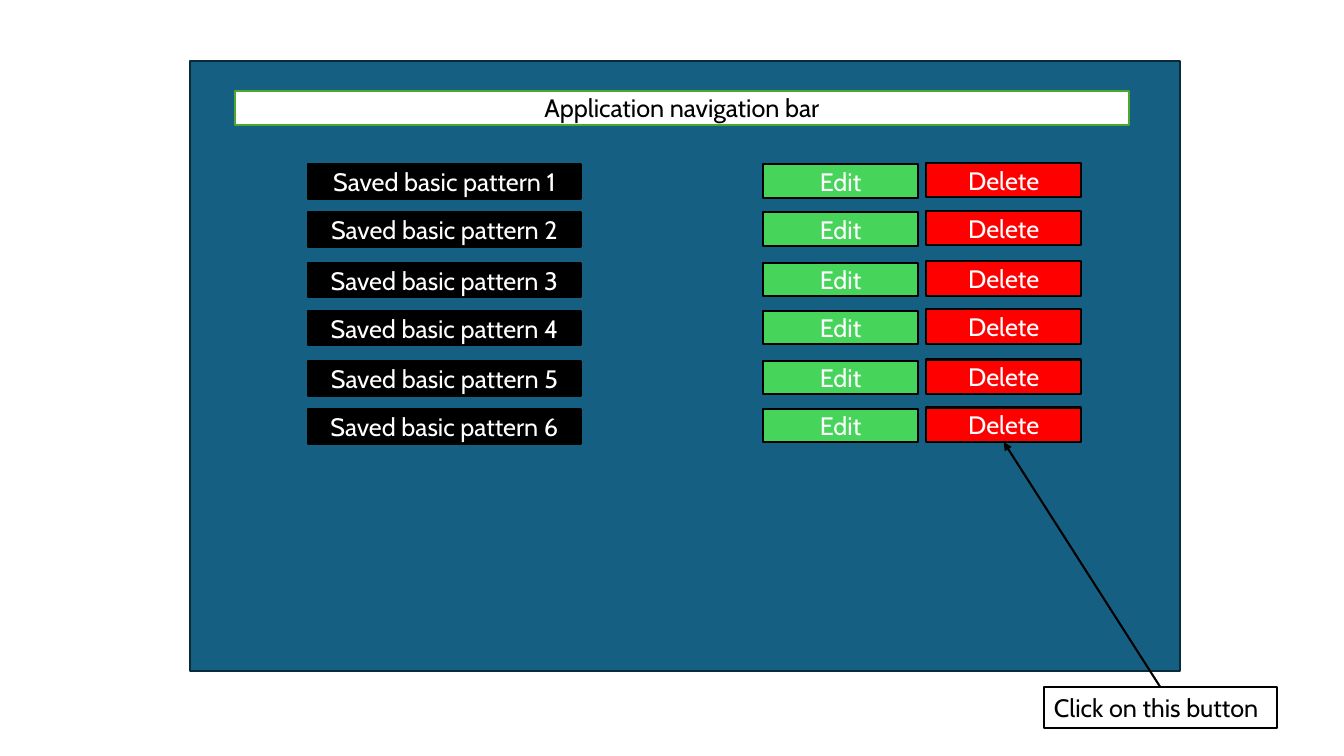
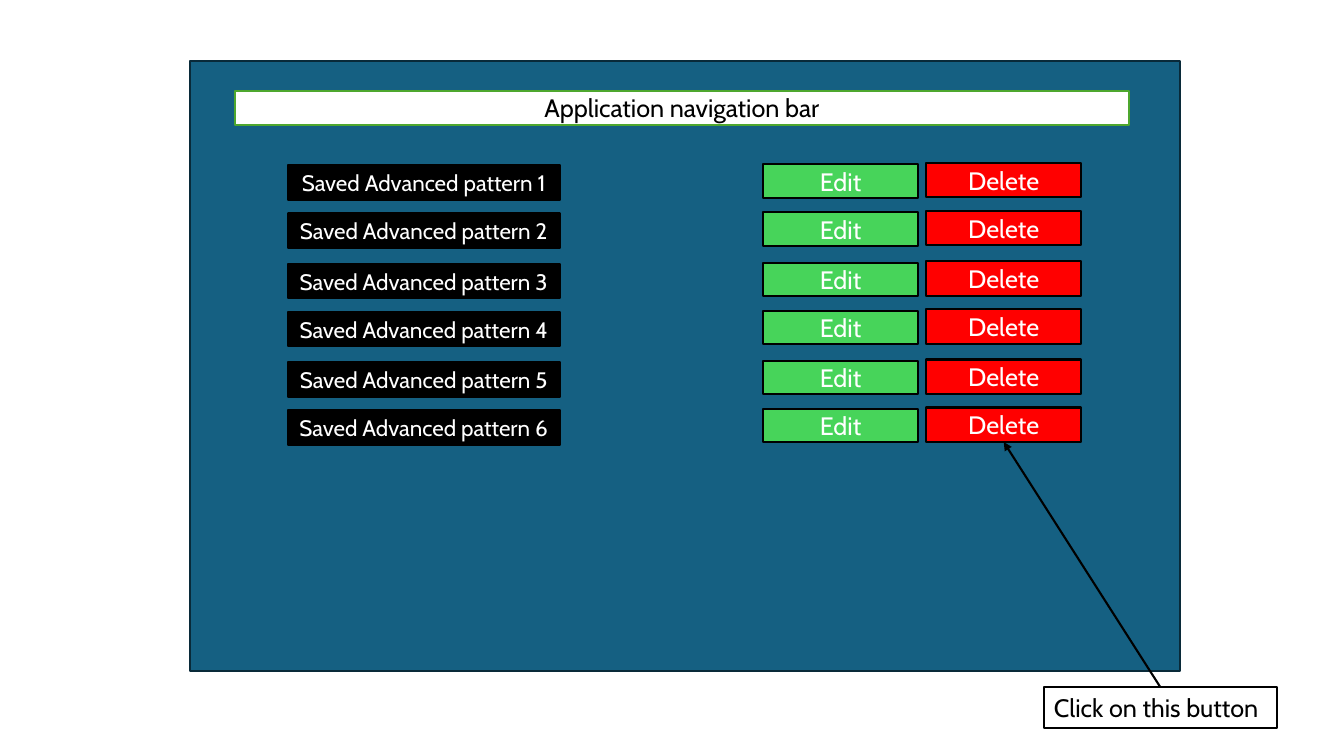
from dataclasses import dataclass
from typing import Optional

from pptx import Presentation
from pptx import util as u
from pptx.dml.color import RGBColor
from pptx.enum import shapes, text
from pptx.oxml import ns, xmlchemy


# Theme shared by both slides
@dataclass(frozen=True)
class Theme:
    font: str = "Cabin"
    body_size: int = 18
    small_size: int = 16
    line_width: float = 1.5
    white: str = "FFFFFF"
    black: str = "000000"
    panel: str = "156082"
    panel_line: str = "092A39"
    bar_line: str = "4EA72E"
    edit: str = "47D45A"
    delete: str = "FF0000"


THEME = Theme()


@dataclass(frozen=True)
class Box:
    """A filled rectangle; lengths in centimetres."""
    left: float
    top: float
    width: float
    height: float
    fill: str
    line: str = THEME.black
    label: str = ""
    color: str = THEME.white
    size: int = THEME.body_size


@dataclass(frozen=True)
class PatternScreen:
    """What differs between the two saved-pattern screens."""
    kind: str
    left: float
    shift: float
    size: int


SCREENS = (
    PatternScreen("basic", 7.77, 0, THEME.body_size),
    PatternScreen("Advanced", 7.25, 0.03, THEME.small_size),
)

PANEL = Box(4.8, 1.54, 24.94, 15.37, THEME.panel, THEME.panel_line)
NAVIGATION_BAR = Box(5.92, 2.29, 22.53, 0.86, THEME.white, THEME.bar_line,
                     "Application navigation bar", THEME.black)
CALLOUT = Box(26.31, 17.32, 5.87, 1.02, THEME.white,
              label="Click on this button", color=THEME.black)

# Rows come in pairs: one pitch between pairs, one step inside a pair
ROW_COUNT = 6
FIRST_ROW, PAIR_PITCH, PAIR_STEP = 4.14, 2.48, 1.21


def row_top(row: int) -> float:
    pair, second = divmod(row, 2)
    return FIRST_ROW + pair * PAIR_PITCH + second * PAIR_STEP


def apply_format(target, values: dict) -> None:
    for name, value in values.items():
        setattr(target, name, value)


def style_box(shape, box: Box) -> None:
    shape.fill.solid()
    shape.fill.fore_color.rgb = RGBColor.from_string(box.fill)
    shape.line.color.rgb = RGBColor.from_string(box.line)
    shape.line.width = u.Pt(THEME.line_width)


def write_label(shape, box: Box, frame_format: dict, alignment) -> None:
    apply_format(shape.text_frame, frame_format)
    paragraph = shape.text_frame.paragraphs[0]
    paragraph.alignment = alignment
    run = paragraph.add_run()
    run.text = box.label
    apply_format(run.font, {"name": THEME.font, "size": u.Pt(box.size)})
    run.font.color.rgb = RGBColor.from_string(box.color)


def bounds(box: Box) -> tuple:
    return tuple(u.Cm(value) for value in (box.left, box.top, box.width, box.height))


def add_box(slide, box: Box):
    shape = slide.shapes.add_shape(shapes.MSO_SHAPE.RECTANGLE, *bounds(box))
    shape.shadow.inherit = False
    style_box(shape, box)
    if box.label:
        write_label(shape, box, {"vertical_anchor": text.MSO_ANCHOR.MIDDLE,
                                 "word_wrap": True}, text.PP_ALIGN.CENTER)
    return shape


def add_callout(slide, box: Box, target) -> None:
    """Place a note with an arrow to the bottom of its target."""
    note = slide.shapes.add_textbox(*bounds(box))
    style_box(note, box)
    write_label(note, box, {"word_wrap": False,
                            "auto_size": text.MSO_AUTO_SIZE.SHAPE_TO_FIT_TEXT},
                text.PP_ALIGN.LEFT)
    arrow = slide.shapes.add_connector(shapes.MSO_CONNECTOR.STRAIGHT, 0, 0, 0, 0)
    arrow.begin_connect(note, 0)
    arrow.end_connect(target, 2)
    arrow.line.color.rgb = RGBColor.from_string(box.line)
    arrow.line.width = u.Pt(THEME.line_width)
    head = xmlchemy.OxmlElement("a:tailEnd")
    head.set("type", "triangle")
    arrow.line._get_or_add_ln().append(head)
    properties = arrow._element.find(ns.qn("p:spPr"))
    properties.append(xmlchemy.OxmlElement("a:effectLst"))


def add_row(slide, screen: PatternScreen, row: int):
    """Draw one saved pattern with its buttons; return the Delete button."""
    top = row_top(row)
    add_box(slide, Box(screen.left, top + screen.shift, 6.86, 0.87, THEME.black,
                       label=f"Saved {screen.kind} pattern {row + 1}",
                       size=screen.size))
    add_box(slide, Box(19.23, top, 3.91, 0.84, THEME.edit, label="Edit"))
    return add_box(slide, Box(23.34, top - 0.04, 3.91, 0.87, THEME.delete,
                              label="Delete"))


def build_screen(presentation, screen: PatternScreen) -> None:
    slide = presentation.slides.add_slide(presentation.slide_layouts[6])
    # Application window
    add_box(slide, PANEL)
    add_box(slide, NAVIGATION_BAR)
    # Saved patterns and the instruction for the last one
    delete_button: Optional[object] = None
    for row in range(ROW_COUNT):
        delete_button = add_row(slide, screen, row)
    add_callout(slide, CALLOUT, delete_button)


def main() -> None:
    presentation = Presentation()
    apply_format(presentation, {"slide_width": u.Cm(33.87),
                                "slide_height": u.Cm(19.05)})
    for screen in SCREENS:
        build_screen(presentation, screen)
    presentation.save("out.pptx")


if __name__ == "__main__":
    main()
